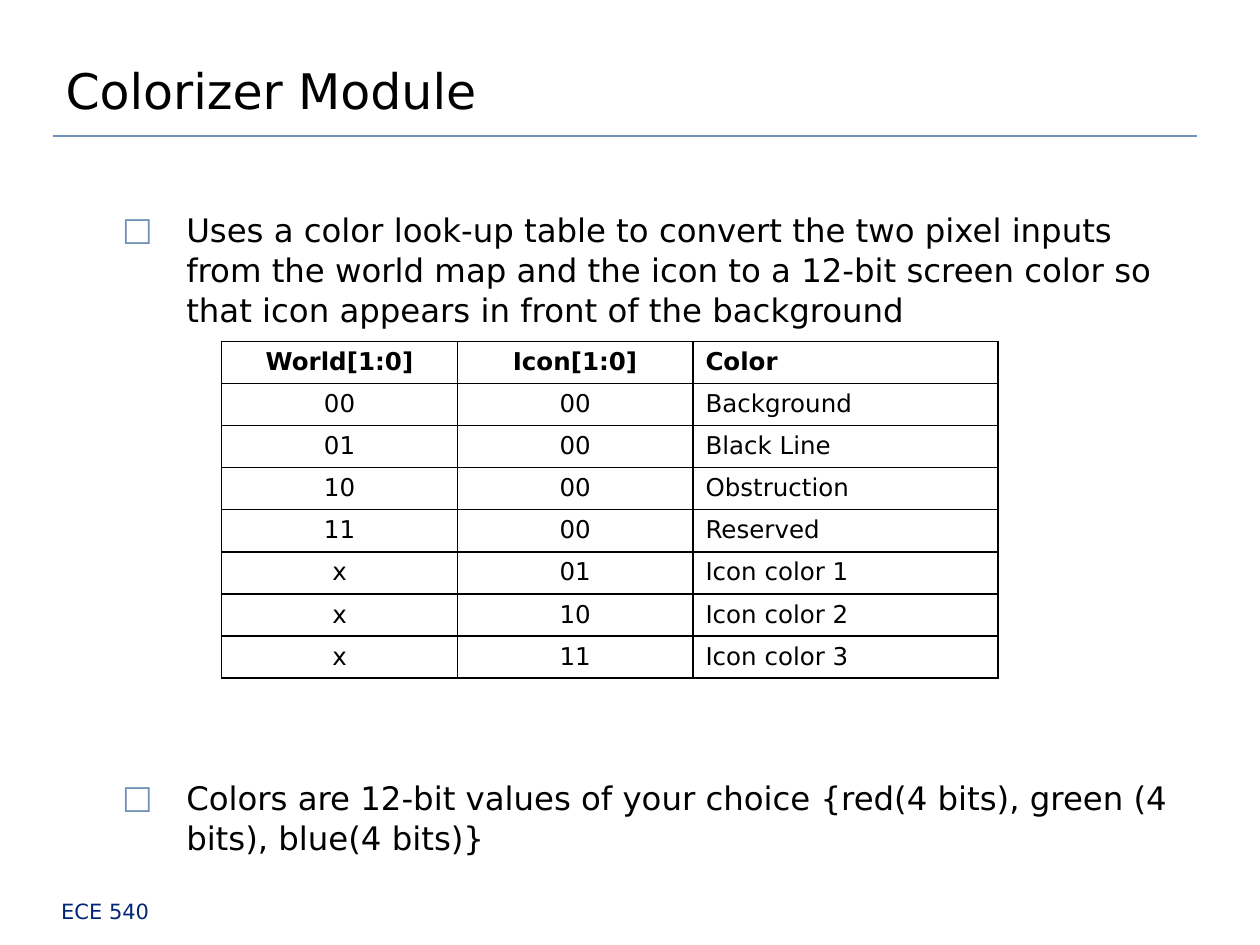
from pptx import Presentation, util as u
from pptx.dml.color import RGBColor
from pptx.enum import shapes, text
from pptx.oxml import parse_xml
from pptx.oxml.ns import nsdecls

FONT = "DejaVu Sans"
BLACK, STEEL, NAVY = "000000", "7090B7", "002776"
CENTER, LEFT = text.PP_ALIGN.CENTER, text.PP_ALIGN.LEFT


def grid(*cells):
    """Lengths on a grid of 100 columns by 75 rows, a tenth of an inch each."""
    return [u.Inches(cell / 10) for cell in cells]


def style(para, size, color=BLACK, bold=False, align=LEFT):
    para.alignment = align
    for span in para.runs:
        span.font.name, span.font.size, span.font.bold = FONT, u.Pt(size), bold
        span.font.color.rgb = RGBColor.from_string(color)


deck = Presentation()
deck.slide_width, deck.slide_height = grid(100, 75)
page = deck.slides.add_slide(deck.slide_layouts[5])

# Rule under the title
rule = page.shapes.add_connector(shapes.MSO_CONNECTOR.STRAIGHT, *grid(4.2, 10.8, 95, 10.8))
rule.line.color.rgb = RGBColor.from_string(STEEL)
rule.line.width = u.Pt(0.75)
rule._element.spPr.append(parse_xml(f"<a:effectLst {nsdecls('a')}/>"))

# Title
title = page.shapes.title
title.left, title.top, title.width, title.height = grid(4.2, 2.5, 85.8, 7.5)
title.text_frame.text = "Colorizer Module"
title.text_frame.vertical_anchor = text.MSO_ANCHOR.BOTTOM
style(title.text_frame.paragraphs[0], 28)

# Course footer
footer = page.shapes.add_textbox(*grid(2.5, 7.08 * 10, 11.7, 2.7))
footer.text_frame.word_wrap = True
footer.text_frame.text = "ECE 540"
style(footer.text_frame.paragraphs[0], 12, NAVY, align=CENTER)

# Bullets, with room for the table between them
bullets = [
    "Uses a color look-up table to convert the two pixel inputs from the world map "
    "and the icon to a 12-bit screen color so that icon appears in front of the background",
    "Colors are 12-bit values of your choice {red(4 bits), green (4 bits), blue(4 bits)}",
]
body = page.shapes.add_textbox(*grid(8.7, 16.1, 87.1, 51.4))
body.text_frame.word_wrap = True
body.text_frame.text = "\n".join(bullets)
indent = grid(5.1)[0]
for para in body.text_frame.paragraphs:
    style(para, 18.5)
    para.line_spacing = 1.03
    props = para._p.get_or_add_pPr()
    props.set("marL", str(indent))
    props.set("indent", str(-indent))
    for mark in (f'<a:buClr {nsdecls("a")}><a:srgbClr val="{STEEL}"/></a:buClr>',
                 f'<a:buFont {nsdecls("a")} typeface="{FONT}"/>',
                 f'<a:buChar {nsdecls("a")} char="□"/>'):
        props.append(parse_xml(mark))
body.text_frame.paragraphs[1].space_before = u.Pt(256)

# Color look-up table
rows = [
    ("World[1:0]", "Icon[1:0]", "Color"),
    ("00", "00", "Background"),
    ("01", "00", "Black Line"),
    ("10", "00", "Obstruction"),
    ("11", "00", "Reserved"),
    ("x", "01", "Icon color 1"),
    ("x", "10", "Icon color 2"),
    ("x", "11", "Icon color 3"),
]
row_height = 3.29
frame = page.shapes.add_table(len(rows), 3, *grid(17.6, 27.1, 61.6, row_height * len(rows)))
table = frame.table
table.horz_banding = False
for column, width in zip(table.columns, grid(18.7, 18.7, 24.2)):
    column.width = width
for r, values in enumerate(rows):
    table.rows[r].height = grid(row_height)[0]
    for c, value in enumerate(values):
        cell = table.cell(r, c)
        cell.text_frame.text = value
        style(cell.text_frame.paragraphs[0], 14, bold=r == 0, align=CENTER if c < 2 else LEFT)
        props = cell._tc.get_or_add_tcPr()
        for side in ("lnL", "lnR", "lnT", "lnB"):
            props.append(parse_xml(
                f'<a:{side} {nsdecls("a")} w="{u.Pt(1)}"><a:solidFill>'
                f'<a:srgbClr val="{BLACK}"/></a:solidFill></a:{side}>'))
        cell.fill.background()

deck.save("out.pptx")
